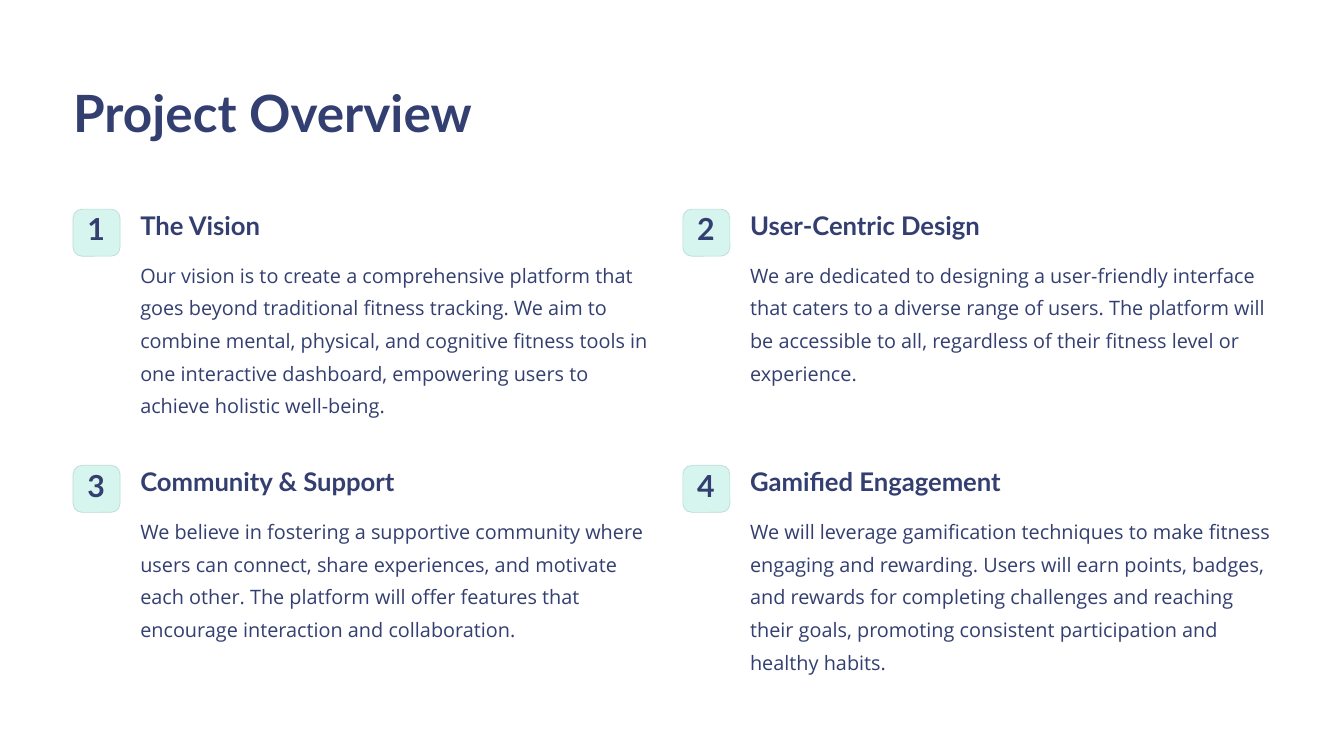
from typing import NamedTuple

from pptx import Presentation
from pptx import util as u
from pptx.dml.color import RGBColor
from pptx.enum import shapes, text

PX = 9144  # EMU per px, 100 px to the inch
COLORS = {"page": "FFFFFF", "ink": "333F70", "badge": "D6F5EE", "edge": "BCDBD4"}

LEFT, TOP = 87, 249
COLUMN_STEP, ROW_STEP = 726, 305
BADGE = 56
NUMBER_WIDTH, LINE_HEIGHT = 21, 37
TEXT_INDENT, BODY_DROP, BODY_WIDTH = 80, 54, 620


class Style(NamedTuple):
    font: str
    size: int
    leading: int
    bold: bool = True
    wrap: bool = False
    align: text.PP_ALIGN = text.PP_ALIGN.LEFT


class Topic(NamedTuple):
    heading: str
    heading_width: int
    body: str
    body_height: int


TITLE = Style("Lato", 44, 55)
NUMBER = Style("Lato", 26, 26, align=text.PP_ALIGN.CENTER)
HEADING = Style("Lato", 22, 27)
BODY = Style("Open Sans", 17, 28, bold=False, wrap=True)

TOPICS = [
    Topic("The Vision", 155,
          "Our vision is to create a comprehensive platform that goes beyond "
          "traditional fitness tracking. We aim to combine mental, physical, and "
          "cognitive fitness tools in one interactive dashboard, empowering users "
          "to achieve holistic well-being.", 192),
    Topic("User-Centric Design", 295,
          "We are dedicated to designing a user-friendly interface that caters to "
          "a diverse range of users. The platform will be accessible to all, "
          "regardless of their fitness level or experience.", 153),
    Topic("Community & Support", 326,
          "We believe in fostering a supportive community where users can connect, "
          "share experiences, and motivate each other. The platform will offer "
          "features that encourage interaction and collaboration.", 153),
    Topic("Gamified Engagement", 324,
          "We will leverage gamification techniques to make fitness engaging and "
          "rewarding. Users will earn points, badges, and rewards for completing "
          "challenges and reaching their goals, promoting consistent participation "
          "and healthy habits.", 192),
]


def px(length: int) -> u.Emu:
    return u.Emu(length * PX)


def color(name: str) -> RGBColor:
    return RGBColor.from_string(COLORS[name])


def write(box, words: str, style: Style) -> None:
    frame = box.text_frame
    frame.margin_left = frame.margin_right = frame.margin_top = frame.margin_bottom = 0
    frame.vertical_anchor = text.MSO_ANCHOR.TOP
    frame.word_wrap = style.wrap
    frame.auto_size = text.MSO_AUTO_SIZE.SHAPE_TO_FIT_TEXT
    para = frame.paragraphs[0]
    para.alignment = style.align
    para.line_spacing = u.Pt(style.leading)
    para.space_before = u.Pt(0)
    span = para.add_run()
    span.text = words
    span.font.name = style.font
    span.font.size = u.Pt(style.size)
    span.font.bold = style.bold
    span.font.color.rgb = color("ink")


def add_text(page, left: int, top: int, width: int, height: int,
             words: str, style: Style) -> None:
    box = page.shapes.add_textbox(px(left), px(top), px(width), px(height))
    write(box, words, style)


def add_badge(page, left: int, top: int, number: int) -> None:
    badge = page.shapes.add_shape(shapes.MSO_SHAPE.ROUNDED_RECTANGLE,
                                  px(left), px(top), px(BADGE), px(BADGE))
    badge.adjustments[0] = 0.19
    badge.shadow.inherit = False
    badge.fill.solid()
    badge.fill.fore_color.rgb = color("badge")
    badge.line.color.rgb = color("edge")
    badge.line.width = u.Pt(0.6)
    add_text(page, left + (BADGE - NUMBER_WIDTH) // 2,
             top + (BADGE - LINE_HEIGHT) // 2,
             NUMBER_WIDTH, LINE_HEIGHT, str(number), NUMBER)


def add_topic(page, index: int, topic: Topic) -> None:
    row, column = divmod(index, 2)
    left, top = LEFT + column * COLUMN_STEP, TOP + row * ROW_STEP
    add_badge(page, left, top, index + 1)
    add_text(page, left + TEXT_INDENT, top, topic.heading_width, LINE_HEIGHT,
             topic.heading, HEADING)
    add_text(page, left + TEXT_INDENT, top + BODY_DROP, BODY_WIDTH,
             topic.body_height, topic.body, BODY)


def main() -> None:
    deck = Presentation()
    deck.slide_width, deck.slide_height = px(1600), px(900)
    page = deck.slides.add_slide(deck.slide_layouts[5])
    page.background.fill.solid()
    page.background.fill.fore_color.rgb = color("page")

    # Title
    title = page.shapes.title
    title.left, title.top = px(LEFT), px(94)
    title.width, title.height = px(497), px(75)
    write(title, "Project Overview", TITLE)

    # Numbered topics, two to a row
    for index, topic in enumerate(TOPICS):
        add_topic(page, index, topic)

    deck.save("out.pptx")


if __name__ == "__main__":
    main()
